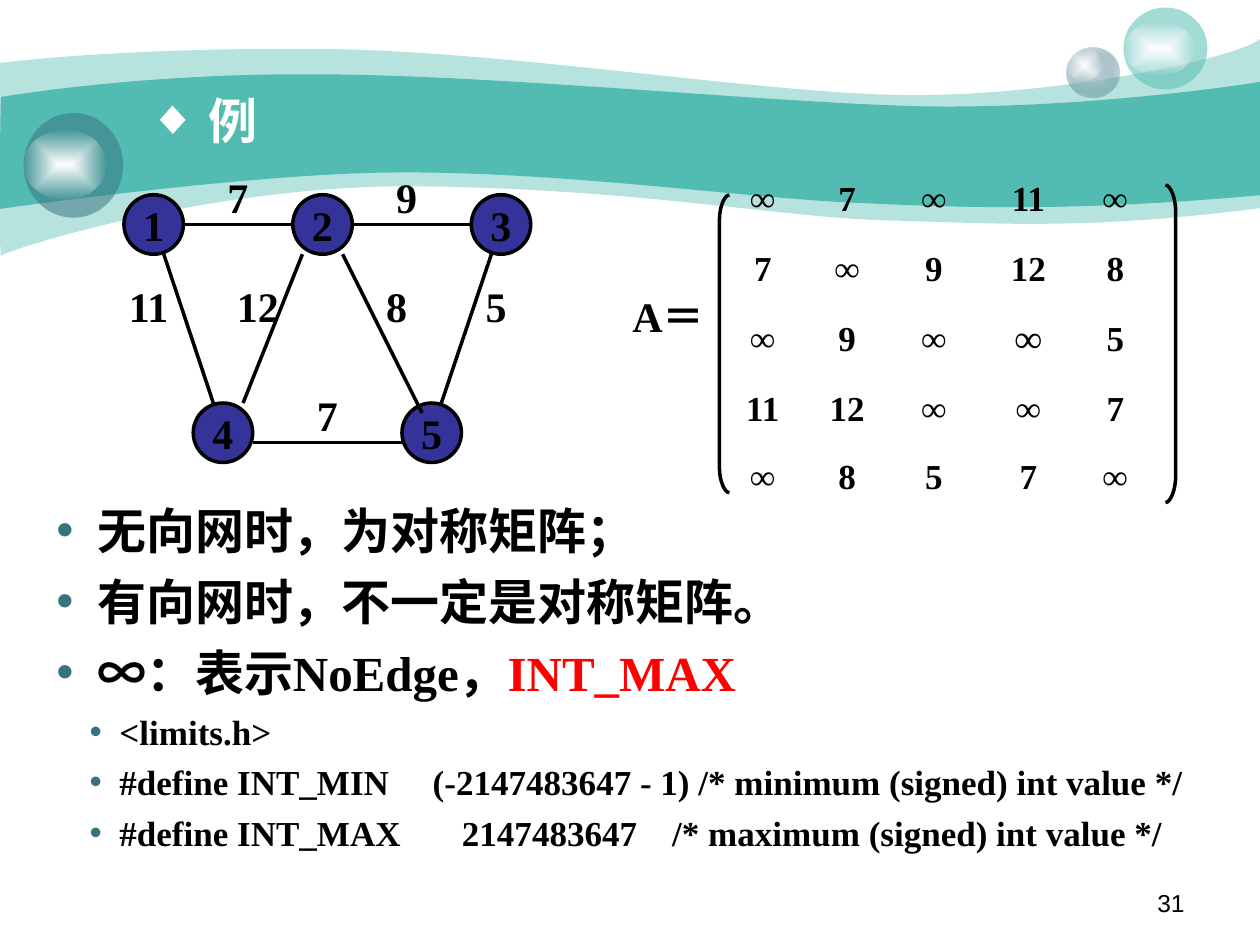
import pptx
import pptx.dml.color
import pptx.enum.shapes
import pptx.enum.text
import pptx.oxml
import pptx.oxml.ns
import pptx.util
from lxml import etree

Pt = pptx.util.Pt
Align = pptx.enum.text.PP_ALIGN
Anchor = pptx.enum.text.MSO_ANCHOR
OVAL = pptx.enum.shapes.MSO_SHAPE.OVAL
STRAIGHT = pptx.enum.shapes.MSO_CONNECTOR.STRAIGHT
qn = pptx.oxml.ns.qn
DRAWING = pptx.oxml.ns.nsdecls("a")
NO_TABLE_STYLE = "{2D5ABB26-0587-4C30-8999-92F81FD0307C}"
TEAL, SLATE, BLACK, WHITE = "52BCB2", "37737F", "000000", "FFFFFF"


def colour(hex_value):
    return pptx.dml.color.RGBColor.from_string(hex_value)


def write(paragraph, text, size=24, color=BLACK, font="Times New Roman", bold=True,
          align=Align.LEFT, before=0, bullet=None, bullet_color=SLATE, margin=0, hang=0):
    """Add a run to the paragraph; bullet, margin and hang belong to its first run."""
    paragraph.alignment = align
    if before:
        paragraph.space_before = Pt(before)
    if bullet:
        props = paragraph._p.get_or_add_pPr()
        props.set("marL", str(Pt(margin)))
        props.set("indent", str(-Pt(hang)))
        tint = etree.SubElement(props, qn("a:buClr"))
        etree.SubElement(tint, qn("a:srgbClr"), val=bullet_color)
        etree.SubElement(props, qn("a:buFont"), typeface="Arial")
        etree.SubElement(props, qn("a:buChar"), char=bullet)
    run = paragraph.add_run()
    run.text = text
    run.font.size, run.font.bold, run.font.name = Pt(size), bold, font
    run.font.color.rgb = colour(color)


class Deck:
    def __init__(self, line_width=2):
        self.presentation = pptx.Presentation()
        self.presentation.slide_width, self.presentation.slide_height = Pt(720), Pt(540)
        self.slide = self.presentation.slides.add_slide(self.presentation.slide_layouts[5])
        self.shapes = self.slide.shapes
        self.line_width = line_width

    def paint(self, shape, fill=None, alpha=100, outline=False):
        shape.shadow.inherit = False
        if fill:
            shape.fill.solid()
            shape.fill.fore_color.rgb = colour(fill)
            if alpha < 100:
                tint = shape._element.spPr.find(qn("a:solidFill"))[0]
                etree.SubElement(tint, qn("a:alpha"), val=str(alpha * 1000))
        else:
            shape.fill.background()
        if outline:
            shape.line.color.rgb = colour(BLACK)
            shape.line.width = Pt(self.line_width)
        else:
            shape.line.fill.background()

    def title(self, text, left, top, width, height, **style):
        title = self.shapes.title
        self.shapes._spTree.append(title._element)  # in front of the backdrop
        title.left, title.top, title.width, title.height = map(Pt, (left, top, width, height))
        title.text_frame.vertical_anchor = Anchor.TOP
        write(title.text_frame.paragraphs[0], text, **style)

    def text_box(self, left, top, width, height):
        frame = self.shapes.add_textbox(*map(Pt, (left, top, width, height))).text_frame
        frame.word_wrap = True
        return frame

    def label(self, text, left, top, width, height, **style):
        write(self.text_box(left, top, width, height).paragraphs[0], text, **style)

    def oval(self, left, top, width, height, **style):
        oval = self.shapes.add_shape(OVAL, *map(Pt, (left, top, width, height)))
        self.paint(oval, **style)
        return oval

    def glow(self, left, top, width, height, inner=WHITE, outer=WHITE, outer_alpha=0):
        """Oval whose colour fades from the centre outwards."""
        props = self.oval(left, top, width, height)._element.spPr
        props.replace(props.find(qn("a:noFill")), pptx.oxml.parse_xml(
            f'<a:gradFill {DRAWING} rotWithShape="1"><a:gsLst>'
            f'<a:gs pos="0"><a:srgbClr val="{inner}"/></a:gs>'
            f'<a:gs pos="100000"><a:srgbClr val="{outer}">'
            f'<a:alpha val="{outer_alpha * 1000}"/></a:srgbClr></a:gs></a:gsLst>'
            '<a:path path="rect"><a:fillToRect l="50000" t="50000" r="50000" b="50000"/>'
            '</a:path></a:gradFill>'))

    def node(self, text, left, top, size=34):
        frame = self.oval(left, top, size, size, fill="333399", outline=True).text_frame
        frame.word_wrap = False
        frame.vertical_anchor = Anchor.MIDDLE
        write(frame.paragraphs[0], text, align=Align.CENTER)

    def line(self, start, end):
        line = self.shapes.add_connector(STRAIGHT, *map(Pt, start + end))
        line.line.color.rgb = colour(BLACK)
        line.line.width = Pt(self.line_width)
        etree.SubElement(line._element.spPr, qn("a:effectLst"))

    def outline(self, start, segments, close=False, **style):
        """Segments hold one point for a line, three for a Bézier curve."""
        builder = self.shapes.build_freeform(*map(Pt, start))
        builder.add_line_segments([(Pt(x), Pt(y)) for segment in segments for x, y in segment],
                                  close=close)
        shape = builder.convert_to_shape()
        steps = iter(list(shape._element.spPr.iter(qn("a:lnTo"))))
        for segment in segments:
            first = next(steps)
            if len(segment) == 3:
                first.tag = qn("a:cubicBezTo")
                for _ in range(2):
                    step = next(steps)
                    first.append(step[0])
                    step.getparent().remove(step)
        self.paint(shape, **style)

    def bracket(self, tip, spine, top, bottom, bend):
        middle = (tip + spine) / 2
        self.outline((tip, top), [
            ((middle, top), (spine, top + bend / 2), (spine, top + bend)),
            ((spine, bottom - bend),),
            ((spine, bottom - bend / 2), (middle, bottom), (tip, bottom))], outline=True)

    def matrix(self, rows, left, top, widths, heights):
        frame = self.shapes.add_table(len(rows), len(widths), Pt(left), Pt(top),
                                      Pt(sum(widths)), Pt(sum(heights)))
        table = frame.table
        table.first_row = table.horz_banding = False
        table._tbl.tblPr.find(qn("a:tableStyleId")).text = NO_TABLE_STYLE
        for column, width in zip(table.columns, widths):
            column.width = Pt(width)
        for r, height in enumerate(heights):
            table.rows[r].height = Pt(height)
            for c, value in enumerate(rows[r]):
                cell = table.cell(r, c)
                cell.fill.background()
                cell.vertical_anchor = Anchor.MIDDLE
                write(cell.text_frame.paragraphs[0], value, align=Align.CENTER,
                      size=22 if (r, c) == (2, 3) else 20)


def backdrop(deck):
    deck.outline((0, 36), [
        ((17, 34), (77, 27.4), (178, 28)), ((278, 28), (414, 50.4), (503, 54)),
        ((592, 57.6), (706, 34), (720, 22.3)), ((720, 119),),
        ((618, 132), (567, 127.4), (507.6, 126)), ((448, 124.6), (371, 108.7), (247, 106.6)),
        ((124, 103.7), (3, 143.3), (0.7, 146.2)), ((-0.7, 149.8), (0, 54), (0, 36))],
        close=True, fill=TEAL, alpha=41)
    deck.outline((0.7, 55.4), [
        ((1.4, 55.4), (79, 41.8), (178.6, 42.5)), ((278, 42.5), (428, 57.6), (517, 60.5)),
        ((605.5, 63.4), (703, 49.7), (720, 46.8)), ((720, 111.6),),
        ((614, 121), (551, 118.8), (491, 116)), ((431, 113.8), (322, 98), (228, 98.6)),
        ((146, 98.6), (-1.4, 119.5), (-0.7, 119.5)), ((0, 119.5), (0, 55.4), (0.7, 55.4))],
        close=True, fill=TEAL)
    deck.glow(609.5, 27, 30.2, 29, inner="CCDBDE", outer=SLATE, outer_alpha=31)
    deck.glow(609.5, 27, 20, 19.5)
    deck.oval(642, 4.3, 48, 46.8, fill=TEAL, alpha=53)
    deck.glow(642, 12.2, 40.3, 31)
    deck.oval(13.5, 64.6, 56.9, 59.8, fill=SLATE, alpha=53)
    deck.glow(13.5, 74, 47.5, 40.3)


NODES = {1: (70.8, 111.3), 2: (167.3, 111.3), 3: (269.3, 111.3),
         4: (110.4, 230.3), 5: (229.7, 230.3)}
# ends, weight, line from, line to, corner of the weight label
EDGES = [
    ((1, 2), 7, (105, 128.3), (167.3, 128.3), (116.2, 94.3)),
    ((2, 3), 9, (201.5, 128.3), (269.3, 128.3), (212.6, 94.3)),
    ((1, 4), 11, (93.6, 145.3), (121.9, 230.3), (65.1, 157)),
    ((2, 4), 12, (172.8, 145.3), (138.9, 230.3), (127.6, 157)),
    ((2, 5), 8, (195.8, 145.3), (241.2, 236), (206.9, 157)),
    ((3, 5), 5, (280.8, 145.3), (252.2, 230.3), (263.7, 157)),
    ((4, 5), 7, (144.6, 252.9), (229.7, 252.9), (167.3, 219)),
]
RULES = [
    [("无向网时，为对称矩阵；", BLACK)],
    [("有向网时，不一定是对称矩阵。", BLACK)],
    [("∞：表示NoEdge，", BLACK), ("INT_MAX", "FF0000")],
]
CODE = [
    "<limits.h>",
    "#define INT_MIN     (-2147483647 - 1) /* minimum (signed) int value */",
    "#define INT_MAX       2147483647    /* maximum (signed) int value */",
]


def main():
    deck = Deck()
    backdrop(deck)
    deck.title("例", 77.6, 48, 90.7, 41, size=28, color=WHITE, bullet="◆",
               bullet_color=WHITE, margin=34.3, hang=34.3)

    for number, corner in NODES.items():
        deck.node(str(number), *corner)
    weights = {}
    for ends, weight, start, end, corner in EDGES:
        deck.line(start, end)
        deck.label(str(weight), *corner, 39.6, 36, align=Align.CENTER)
        weights[ends] = weights[ends[::-1]] = str(weight)

    deck.matrix([[weights.get((a, b), "∞") for b in NODES] for a in NODES], 411.1, 94.3,
                widths=[49.5, 46.9, 52.4, 55.5, 43.9], heights=[39.7, 40, 40, 40, 38.3])
    deck.bracket(tip=416.8, spine=411.1, top=111.4, bottom=281.5, bend=14)
    deck.bracket(tip=666, spine=671.8, top=105.8, bottom=287.2, bend=15)
    deck.label("A＝", 354.3, 162.2, 96.5, 36)

    notes = deck.text_box(25.2, 282.4, 671.8, 209.5)
    for i, runs in enumerate(RULES):
        paragraph = notes.add_paragraph() if i else notes.paragraphs[0]
        for j, (text, color) in enumerate(runs):
            write(paragraph, text, size=28, color=color, before=7 if i else 0,
                  bullet=None if j else "•", margin=23.3, hang=23.3)
    for text in CODE:
        paragraph = notes.add_paragraph()
        paragraph.level = 1
        write(paragraph, text, size=20, before=5, bullet="•", margin=36, hang=17)

    deck.label("31", 516, 504, 168, 25, size=14, font="Arial", bold=False, align=Align.RIGHT)
    deck.presentation.save("out.pptx")


if __name__ == "__main__":
    main()
